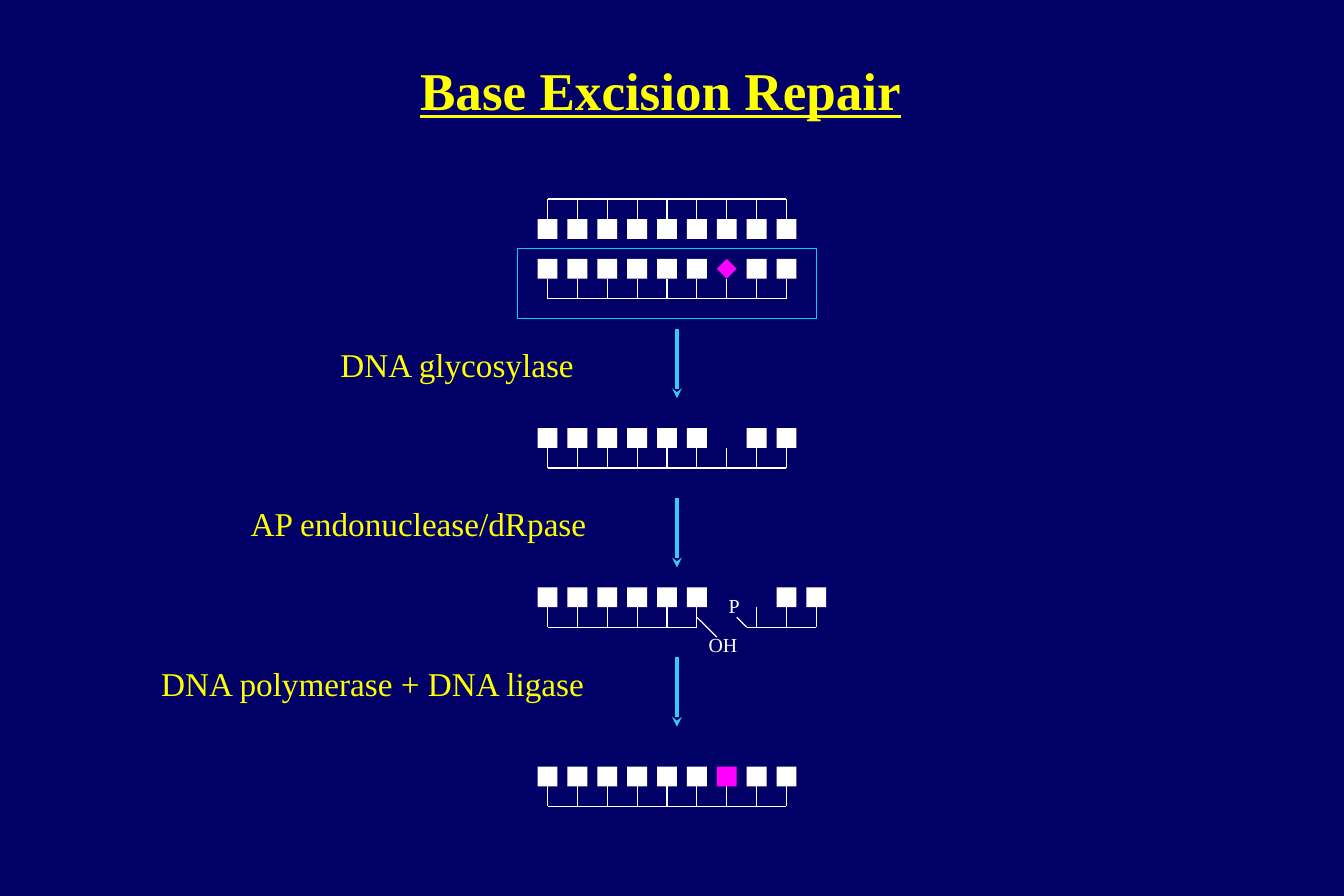
from pptx import Presentation
from pptx import util as u
from pptx.dml.color import RGBColor
from pptx.enum import shapes, text
from pptx.oxml.ns import qn
from lxml import etree

PX = 9525  # EMU per px, 96 px to the inch
FONT = "Times New Roman"
WHITE, YELLOW, PINK, BLUE = "FFFFFF", "FFFF00", "FF00FF", "33CCFF"
LEFT, STEP, SIDE = 432, 24, 16  # first base, base pitch, base size

# Kinds of base in a strand; "-" is a stem without a base
BASES = {
    "#": (shapes.MSO_SHAPE.RECTANGLE, WHITE),
    "x": (shapes.MSO_SHAPE.DIAMOND, PINK),
    "n": (shapes.MSO_SHAPE.RECTANGLE, PINK),
}


def px(*vals):
    return [u.Emu(v * PX) for v in vals]


def paint(part, color):
    part.solid()
    part.fore_color.rgb = RGBColor.from_string(color)


def add_line(slide, x1, y1, x2, y2, color=WHITE, width=0.75, head=False):
    line = slide.shapes.add_connector(
        shapes.MSO_CONNECTOR.STRAIGHT, *px(x1, y1, x2, y2))
    paint(line.line.fill, color)
    line.line.width = u.Pt(width)
    if head:
        tail = etree.SubElement(line.line._get_or_add_ln(), qn("a:tailEnd"))
        tail.set("type", "stealth")
    etree.SubElement(line._element.spPr, qn("a:effectLst"))
    return line


def add_base(slide, x, y, kind):
    form, color = BASES[kind]
    base = slide.shapes.add_shape(form, *px(x, y, SIDE, SIDE))
    base.shadow.inherit = False
    paint(base.fill, color)
    base.line.fill.background()
    return base


def add_strand(slide, y, kinds, first=0, lead=0, up=False):
    """Draw bases with stems to a backbone, below or above them."""
    edge, site = (y, 0) if up else (y + SIDE, 2)
    spine = edge - SIDE if up else edge + SIDE
    start = LEFT + first * STEP
    mid = start + SIDE // 2
    add_line(slide, mid - lead, spine, mid + (len(kinds) - 1) * STEP, spine)
    for i, kind in enumerate(kinds):
        x = mid + i * STEP
        stem = add_line(slide, x, edge, x, spine)
        if kind in BASES:
            stem.begin_connect(add_base(slide, start + i * STEP, y, kind), site)


def add_text(slide, words, x, y, w, h, size, color):
    box = slide.shapes.add_textbox(*px(x, y, w, h))
    frame = box.text_frame
    frame.word_wrap = True
    para = frame.paragraphs[0]
    para.text = words
    font = para.font
    font.name, font.size = FONT, u.Pt(size)
    font.color.rgb = RGBColor.from_string(color)
    return frame


def add_title(slide, words):
    frame = add_text(slide, words, 72, 40, 918, 64, 32, YELLOW)
    frame.vertical_anchor = text.MSO_ANCHOR.MIDDLE
    para = frame.paragraphs[0]
    para.alignment = text.PP_ALIGN.CENTER
    para.font.bold = para.font.underline = True


def add_step(slide, words, x, y, w, top):
    add_line(slide, 544, top, 544, top + 56, BLUE, 2, head=True)
    add_text(slide, words, x, y, w, 42, 20, YELLOW)


def add_frame(slide, x, y, w, h):
    box = slide.shapes.add_shape(shapes.MSO_SHAPE.RECTANGLE, *px(x, y, w, h))
    box.shadow.inherit = False
    box.fill.background()
    paint(box.line.fill, "00CCFF")
    box.line.width = u.Pt(0.75)


def main():
    prs = Presentation()
    prs.slide_width, prs.slide_height = px(1080, 720)
    slide = prs.slides.add_slide(prs.slide_layouts[6])
    paint(slide.background.fill, "000066")
    add_title(slide, "Base Excision Repair")

    # Double strand with a damaged base
    add_strand(slide, 176, "#########", up=True)
    add_strand(slide, 208, "######x##")

    # Base removed
    add_strand(slide, 344, "######-##")

    # Strand cut, with its two loose ends
    add_strand(slide, 472, "######")
    add_strand(slide, 472, "-##", first=7, lead=8)
    add_line(slide, 592, 496, 600, 504)
    add_line(slide, 560, 496, 576, 512)
    add_text(slide, "P", 576, 472, 32, 29, 12, WHITE)
    add_text(slide, "OH", 560, 504, 48, 29, 12, WHITE)

    # Strand repaired
    add_strand(slide, 616, "######n##")

    # Enzymes for each step
    add_step(slide, "DNA glycosylase", 264, 272, 224, 264)
    add_step(slide, "AP endonuclease/dRpase", 192, 400, 312, 400)
    add_step(slide, "DNA polymerase + DNA ligase", 120, 528, 376, 528)

    # Box around the damaged strand
    add_frame(slide, 416, 200, 240, 56)
    prs.save("out.pptx")


if __name__ == "__main__":
    main()
